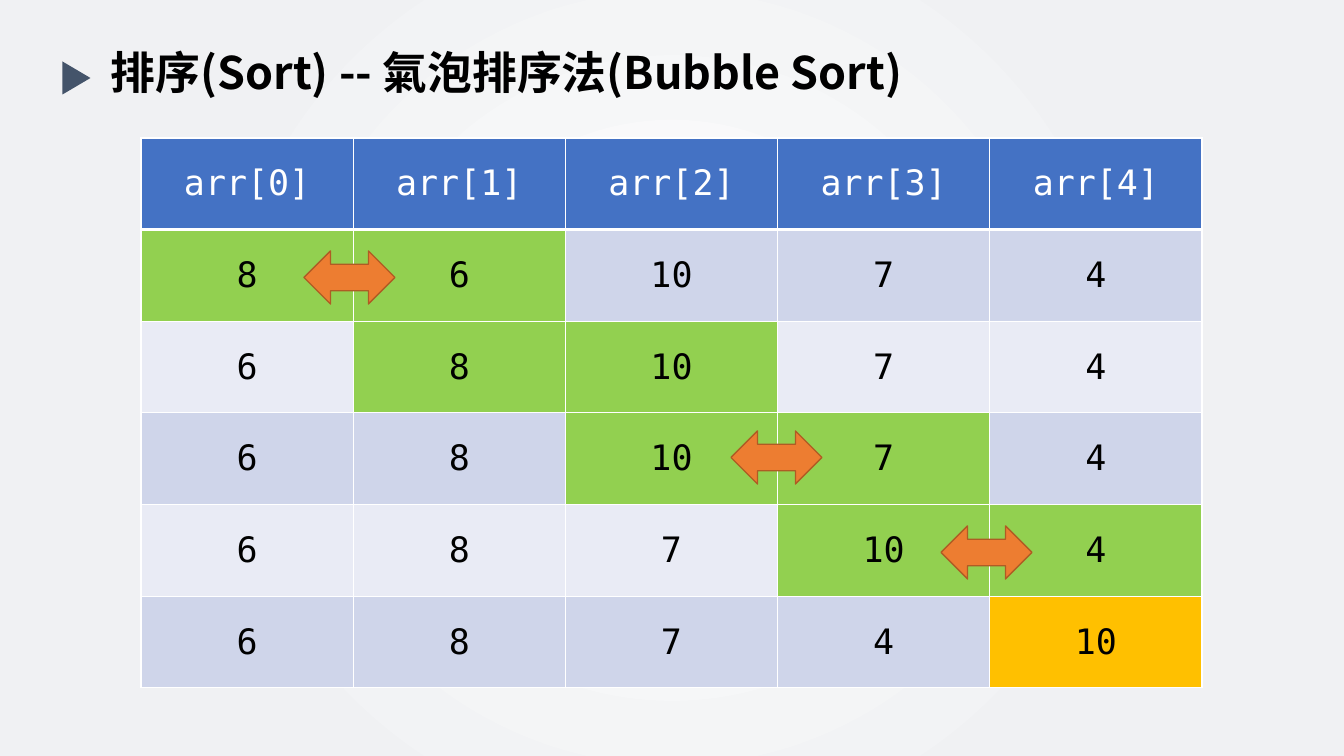
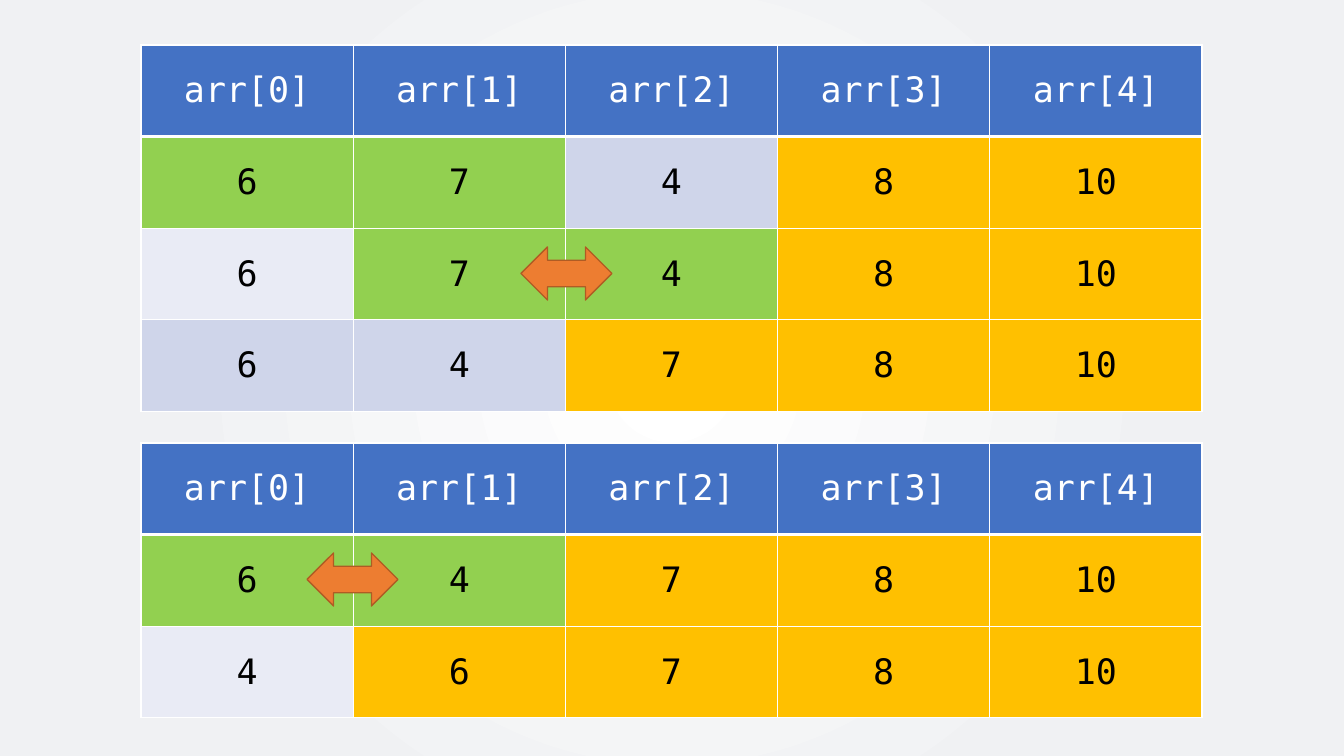
import lxml.etree
import pptx
import pptx.dml.color
import pptx.enum.dml
import pptx.enum.shapes
import pptx.enum.text
import pptx.oxml.ns
import pptx.util

SCALE = 914400 / 100.8  # EMU per pixel
SLIDE_W, SLIDE_H = 1344, 756
TABLE_X, TABLE_W = 141, 1061
SIX_ROWS_H = 550
ARROW_W, ARROW_H = 91, 53
COLUMNS = 5

COLORS = {
    "center": "FFFFFF", "edge": "F0F1F3", "title": "000000", "marker": "44546A",
    "header": "4472C4", "header_text": "FFFFFF", "text": "000000", "border": "FFFFFF",
    "band_dark": "CFD5EA", "band_light": "E9EBF5",
    "compared": "92D050", "sorted": "FFC000",
    "arrow": "ED7D31", "arrow_line": "AF5C24",
}
TITLE_FONT = {"name": "Noto Sans CJK SC", "size": pptx.util.Pt(32), "bold": True}
CELL_FONT = {"name": "DejaVu Sans Mono", "size": pptx.util.Pt(25), "bold": False}

# Each step: values, index of the first compared cell, index of the first sorted cell.
FIRST_PASS = [
    ((8, 6, 10, 7, 4), 0, 5),
    ((6, 8, 10, 7, 4), 1, 5),
    ((6, 8, 10, 7, 4), 2, 5),
    ((6, 8, 7, 10, 4), 3, 5),
    ((6, 8, 7, 4, 10), None, 4),
]
THIRD_PASS = [
    ((6, 7, 4, 8, 10), 0, 3),
    ((6, 7, 4, 8, 10), 1, 3),
    ((6, 4, 7, 8, 10), None, 2),
]
FOURTH_PASS = [
    ((6, 4, 7, 8, 10), 0, 2),
    ((4, 6, 7, 8, 10), None, 1),
]


def px(n):
    """Turn pixels into EMU."""
    return pptx.util.Emu(round(n * SCALE))


def rgb(key):
    """Look up a named colour."""
    return pptx.dml.color.RGBColor.from_string(COLORS[key])


def set_background(master):
    """Give the master a radial gradient that all slides inherit."""
    fill = master.background.fill
    fill.gradient()
    for stop, key, position in zip(fill.gradient_stops, ("center", "edge"), (0, 0.67)):
        stop.color.rgb = rgb(key)
        stop.position = position
    qn = pptx.oxml.ns.qn
    grad = master.element.find(".//" + qn("a:gradFill"))
    grad.remove(grad.find(qn("a:lin")))
    circle = lxml.etree.SubElement(grad, qn("a:path"), path="circle")
    sides = dict.fromkeys("ltrb", "50000")
    lxml.etree.SubElement(circle, qn("a:fillToRect"), **sides)


def add_run(p, text, fmt, color):
    """Add a run with the same font for Latin and East Asian text."""
    r = p.add_run()
    r.text = text
    for name, value in fmt.items():
        setattr(r.font, name, value)
    r.font.color.rgb = rgb(color)
    lxml.etree.SubElement(r._r.get_or_add_rPr(), pptx.oxml.ns.qn("a:ea"),
                          typeface=fmt["name"])


def add_preset(shapes, kind, box, fill, line=None):
    """Add a flat preset shape; box is left, top, width, height."""
    sp = shapes.add_shape(kind, *map(px, box))
    sp.shadow.inherit = False
    sp.fill.solid()
    sp.fill.fore_color.rgb = rgb(fill)
    if line:
        sp.line.color.rgb = rgb(line)
        sp.line.width = pptx.util.Pt(1)
    else:
        sp.line.fill.background()
    return sp


def add_title(slide, text):
    """Add the title with its triangle marker as one group."""
    shapes = slide.shapes.add_group_shape().shapes
    sp = shapes.add_textbox(px(101), px(46), px(1232), px(65))
    tf = sp.text_frame
    tf.word_wrap = True
    tf.auto_size = pptx.enum.text.MSO_AUTO_SIZE.SHAPE_TO_FIT_TEXT
    p = tf.paragraphs[0]
    p.line_spacing = 0.9
    add_run(p, text, TITLE_FONT, "title")
    marker = add_preset(shapes, pptx.enum.shapes.MSO_SHAPE.ISOSCELES_TRIANGLE,
                        (60, 64, 33, 28), "marker")
    marker.rotation = 90


def set_borders(cell, bottom):
    """Draw one-point cell borders with a chosen bottom width."""
    qn = pptx.oxml.ns.qn
    tcPr = cell._tc.get_or_add_tcPr()
    for i, (side, width) in enumerate(zip("LRTB", (1, 1, 1, bottom))):
        ln = lxml.etree.Element(qn("a:ln" + side), w=str(pptx.util.Pt(width)))
        solid = lxml.etree.SubElement(ln, qn("a:solidFill"))
        lxml.etree.SubElement(solid, qn("a:srgbClr"), val=COLORS["border"])
        tcPr.insert(i, ln)


def fill_cell(cell, text, fill, color="text", bottom=1):
    """Write and format one cell."""
    cell.vertical_anchor = pptx.enum.text.MSO_ANCHOR.MIDDLE
    cell.fill.solid()
    cell.fill.fore_color.rgb = rgb(fill)
    set_borders(cell, bottom)
    p = cell.text_frame.paragraphs[0]
    p.alignment = pptx.enum.text.PP_ALIGN.CENTER
    add_run(p, text, CELL_FONT, color)


def step_fill(row, col, compared, first_sorted):
    """Choose a value cell's colour from the state of the sort."""
    if col >= first_sorted:
        return "sorted"
    if compared is not None and col in (compared, compared + 1):
        return "compared"
    return "band_dark" if row % 2 else "band_light"


def add_steps(slide, top, steps):
    """Add a table with array headings and one row per sorting step."""
    rows = len(steps) + 1
    box = (TABLE_X, top, TABLE_W, SIX_ROWS_H * rows / 6)
    table = slide.shapes.add_table(rows, COLUMNS, *map(px, box)).table
    table.first_row = table.horz_banding = False
    for col in range(COLUMNS):
        fill_cell(table.cell(0, col), f"arr[{col}]", "header", "header_text", 3)
    for row, (values, compared, first_sorted) in enumerate(steps, 1):
        for col, value in enumerate(values):
            fill_cell(table.cell(row, col), str(value),
                      step_fill(row, col, compared, first_sorted))


def add_swaps(slide, *corners):
    """Add a double arrow at each left, top corner."""
    for left, top in corners:
        add_preset(slide.shapes, pptx.enum.shapes.MSO_SHAPE.LEFT_RIGHT_ARROW,
                   (left, top, ARROW_W, ARROW_H), "arrow", "arrow_line")


def main():
    """Build and save the slides."""
    prs = pptx.Presentation()
    prs.slide_width, prs.slide_height = px(SLIDE_W), px(SLIDE_H)
    set_background(prs.slide_master)
    blank = prs.slide_layouts[6]

    slide = prs.slides.add_slide(blank)
    add_title(slide, "排序(Sort) -- 氣泡排序法(Bubble Sort)")
    add_steps(slide, 138, FIRST_PASS)
    add_swaps(slide, (304, 251), (731, 431), (941, 526))

    slide = prs.slides.add_slide(blank)
    add_steps(slide, 45, THIRD_PASS)
    add_swaps(slide, (521, 247))
    add_steps(slide, 443, FOURTH_PASS)
    add_swaps(slide, (307, 553))

    prs.save("out.pptx")


main()
